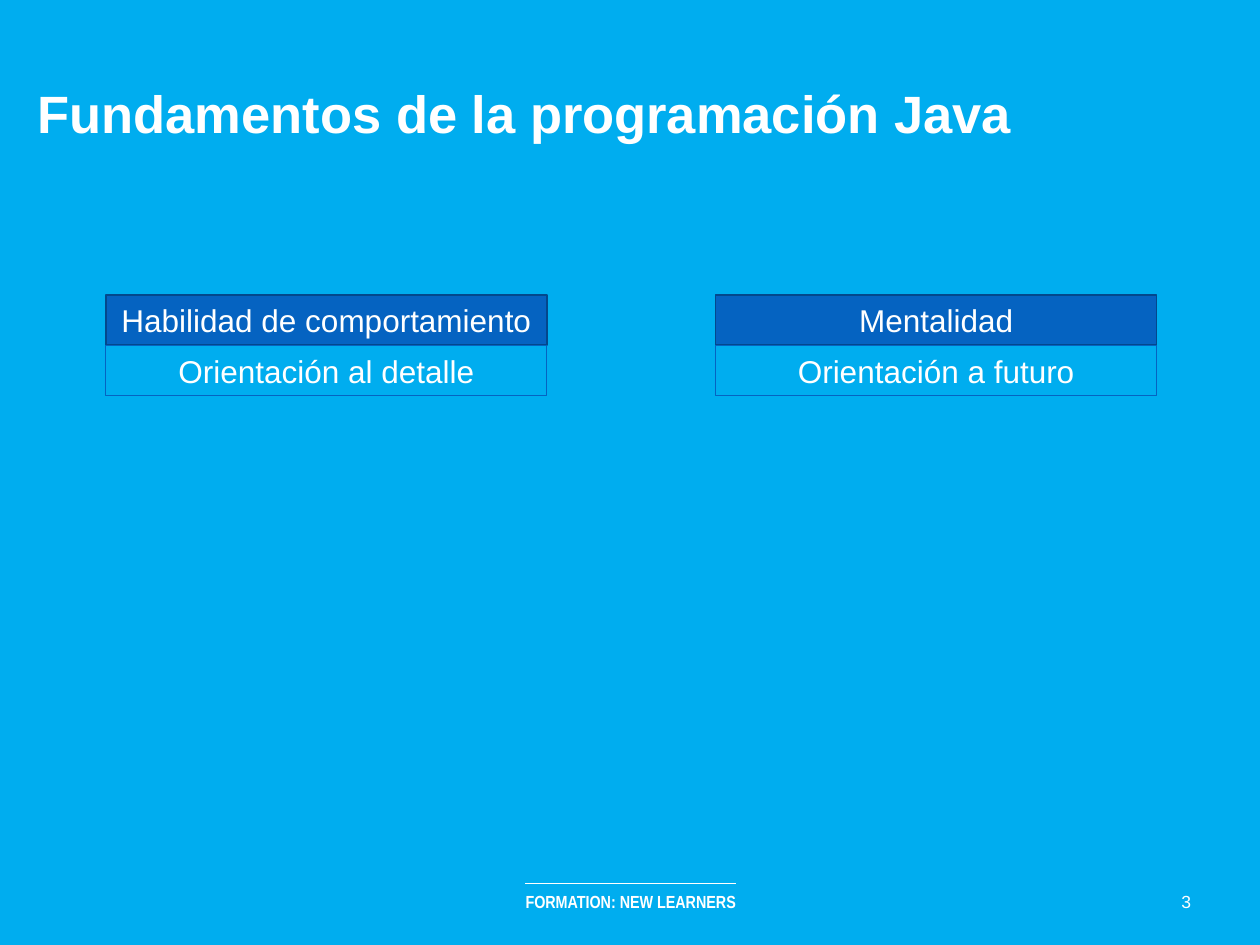
from dataclasses import dataclass

from lxml import etree
from pptx import Presentation
from pptx.dml.color import RGBColor
from pptx.enum.shapes import MSO_CONNECTOR, MSO_SHAPE
from pptx.enum.text import MSO_ANCHOR, PP_ALIGN
from pptx.oxml.ns import qn
from pptx.util import Inches, Pt

RECTANGLE = MSO_SHAPE.RECTANGLE
STRAIGHT = MSO_CONNECTOR.STRAIGHT
LEFT, CENTER = PP_ALIGN.LEFT, PP_ALIGN.CENTER
TOP, MIDDLE = MSO_ANCHOR.TOP, MSO_ANCHOR.MIDDLE


@dataclass(frozen=True)
class Theme:
    background: RGBColor = RGBColor(0x00, 0xAD, 0xEF)
    accent: RGBColor = RGBColor(0x05, 0x63, 0xC1)
    accent_dark: RGBColor = RGBColor(0x03, 0x48, 0x8C)
    white: RGBColor = RGBColor(0xFF, 0xFF, 0xFF)
    font: str = "Arial"
    footer_font: str = "Arial Narrow"
    title_size: int = 30
    body_size: int = 18
    footer_size: int = 10


class SlideBuilder:
    def __init__(self, slide, theme):
        self.slide = slide
        self.theme = theme
        fill = slide.background.fill
        fill.solid()
        fill.fore_color.rgb = theme.background

    def set_text(self, shape, text, size, font=None, bold=False,
                 align=CENTER, anchor=MIDDLE, side_inset=0.1):
        frame = shape.text_frame
        frame.word_wrap = True
        frame.vertical_anchor = anchor
        frame.margin_left = frame.margin_right = Inches(side_inset)
        frame.margin_top = frame.margin_bottom = Inches(0.05)
        para = frame.paragraphs[0]
        para.alignment = align
        span = para.add_run()
        span.text = text
        span.font.name = font or self.theme.font
        span.font.size = Pt(size)
        span.font.bold = bold
        span.font.color.rgb = self.theme.white

    def text(self, left, top, width, height, text, size, **style):
        box = self.slide.shapes.add_textbox(
            Inches(left), Inches(top), Inches(width), Inches(height))
        self.set_text(box, text, size, **style)

    def cell(self, left, top, width, height, text, line, line_width, fill=None):
        box = self.slide.shapes.add_shape(
            RECTANGLE, Inches(left), Inches(top), Inches(width), Inches(height))
        box.shadow.inherit = False
        if fill is None:
            box.fill.background()
        else:
            box.fill.solid()
            box.fill.fore_color.rgb = fill
        box.line.color.rgb = line
        box.line.width = Pt(line_width)
        self.set_text(box, text, self.theme.body_size)

    def rule(self, left, right, top):
        """Draw a thin horizontal line."""
        line = self.slide.shapes.add_connector(
            STRAIGHT, Inches(left), Inches(top), Inches(right), Inches(top))
        line.line.color.rgb = self.theme.white
        line.line.width = Pt(0.75)
        etree.SubElement(line._element.spPr, qn("a:effectLst"))


def main():
    deck = Presentation()
    deck.slide_width, deck.slide_height = Inches(10), Inches(7.5)
    theme = Theme()
    page = SlideBuilder(deck.slides.add_slide(deck.slide_layouts[6]), theme)

    page.text(3.67, 7.02, 2.67, 0.27, "FORMATION: NEW LEARNERS",
              theme.footer_size, font=theme.footer_font, bold=True)
    page.rule(4.17, 5.84, 7.01)
    page.text(9.23, 7.02, 0.37, 0.27, "3", theme.footer_size)
    page.text(0.3, 0.59, 8.13, 1.11, "Fundamentos de la programación Java",
              theme.title_size, bold=True, align=LEFT, anchor=TOP, side_inset=0)

    cards = [
        (0.84, "Habilidad de comportamiento", "Orientación al detalle"),
        (5.68, "Mentalidad", "Orientación a futuro"),
    ]
    top, width, height = 2.34, 3.5, 0.4
    for left, heading, detail in cards:
        page.cell(left, top, width, height, heading,
                  theme.accent_dark, 0.85, fill=theme.accent)
        page.cell(left, top + height, width, height, detail, theme.accent, 0.75)

    deck.save("out.pptx")


if __name__ == "__main__":
    main()
